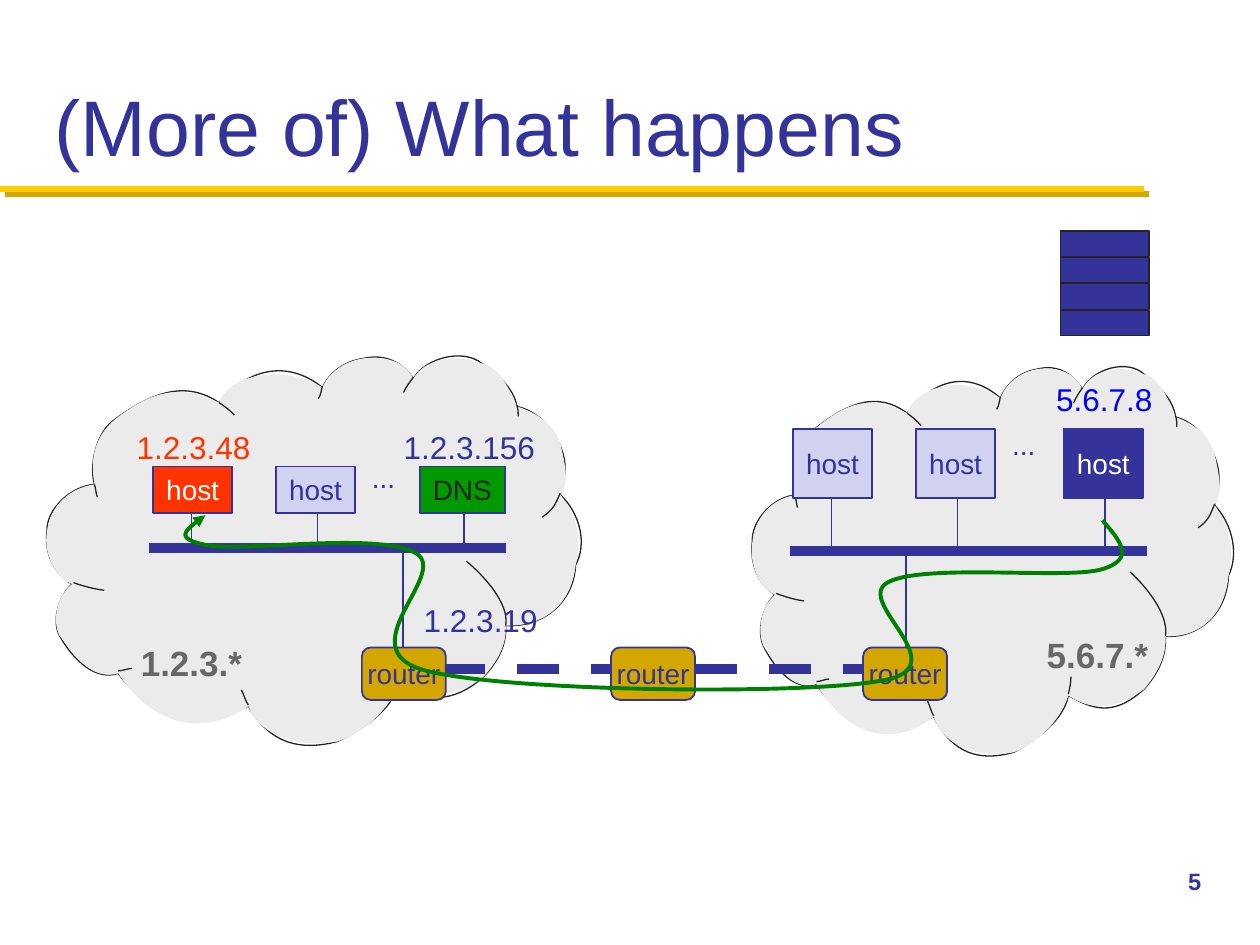
from lxml import etree
from pptx import Presentation
from pptx.dml.color import RGBColor
from pptx.enum.dml import MSO_LINE
from pptx.enum.shapes import MSO_CONNECTOR, MSO_SHAPE
from pptx.enum.text import MSO_ANCHOR, PP_ALIGN
from pptx.oxml.ns import qn
from pptx.util import Pt

RECTANGLE, ROUNDED = MSO_SHAPE.RECTANGLE, MSO_SHAPE.ROUNDED_RECTANGLE
STRAIGHT, DASH = MSO_CONNECTOR.STRAIGHT, MSO_LINE.DASH
TOP, MIDDLE, BOTTOM = MSO_ANCHOR.TOP, MSO_ANCHOR.MIDDLE, MSO_ANCHOR.BOTTOM
LEFT, CENTER = PP_ALIGN.LEFT, PP_ALIGN.CENTER

NAVY, LAVENDER, WHITE, INK = "333399", "D1D1F0", "FFFFFF", "232323"
GOLD, YELLOW, RED, GREEN = "D3A600", "FFCB05", "FF3300", "009900"
GRAY, CLOUD, BLUE, ROUTE = "676767", "EBEBEB", "0000FF", "008000"


def paint(shape, fill=None, line=None, width=1):
    shape.shadow.inherit = False
    if fill:
        shape.fill.solid()
        shape.fill.fore_color.rgb = RGBColor.from_string(fill)
    else:
        shape.fill.background()
    if line:
        shape.line.color.rgb = RGBColor.from_string(line)
        shape.line.width = Pt(width)
    else:
        shape.line.fill.background()


def write(shape, text, size=16, color=NAVY, bold=False, align=CENTER, anchor=MIDDLE, wrap=False):
    frame = shape.text_frame
    frame.word_wrap = wrap
    frame.vertical_anchor = anchor
    paragraph = frame.paragraphs[0]
    paragraph.alignment = align
    run = paragraph.add_run()
    run.text = text
    run.font.name = "Arial"
    run.font.size = Pt(size)
    run.font.bold = bold
    run.font.color.rgb = RGBColor.from_string(color)


presentation = Presentation()
presentation.slide_width, presentation.slide_height = Pt(720), Pt(540)
slide = presentation.slides.add_slide(presentation.slide_layouts[5])
shapes = slide.shapes

title = shapes.title
title.left, title.top, title.width, title.height = Pt(24), Pt(12), Pt(672), Pt(90)
write(title, "(More of) What happens", size=45, align=LEFT, anchor=BOTTOM, wrap=True)

# Bezier contours: start point, then two control points and an end point per segment
outline = [[
    631, 393, 627, 378, 632, 351, 646, 341, 672, 320, 696, 310, 720, 328,
    740, 302, 768, 293, 794, 316, 799, 304, 810, 295, 823, 293,
    839, 289, 851, 296, 859, 309, 868, 292, 895, 285, 908, 297,
    918, 305, 931, 316, 933, 331, 949, 335, 960, 350, 965, 365,
    969, 377, 968, 387, 964, 401, 979, 417, 983, 441, 975, 457,
    974, 487, 951, 507, 925, 505, 926, 522, 918, 536, 908, 547,
    887, 566, 871, 566, 848, 552, 844, 572, 823, 587, 805, 597,
    777, 605, 756, 598, 741, 569, 705, 587, 669, 576, 648, 543,
    632, 549, 616, 533, 606, 513, 600, 500, 606, 481, 615, 472,
    602, 464, 595, 447, 597, 431, 596, 412, 615, 394, 631, 393]]
body = [[
    631, 393, 628, 374, 630, 356, 646, 341, 672, 319, 691, 313, 720, 328,
    729, 303, 770, 299, 794, 316, 799, 303, 811, 295, 823, 293,
    837, 291, 852, 294, 859, 309, 867, 293, 890, 289, 908, 297,
    921, 300, 928, 319, 933, 331, 952, 338, 962, 349, 965, 365,
    967, 376, 971, 392, 964, 401, 978, 421, 979, 440, 975, 457,
    972, 488, 953, 506, 925, 505, 926, 520, 919, 534, 908, 547,
    885, 564, 865, 564, 848, 552, 840, 574, 824, 589, 805, 597,
    781, 602, 750, 595, 741, 569, 706, 596, 670, 581, 648, 543,
    629, 549, 617, 529, 606, 513, 601, 502, 603, 483, 615, 472,
    604, 468, 594, 448, 597, 431, 599, 411, 612, 396, 631, 393]]
creases = [
    [638, 477, 631, 476, 624, 474, 616, 471], [658, 539, 655, 539, 651, 541, 648, 541],
    [741, 568, 739, 565, 738, 560, 736, 556], [850, 537, 850, 542, 849, 546, 848, 551],
    [897, 454, 908, 464, 928, 487, 925, 505], [964, 400, 960, 410, 959, 413, 951, 419],
    [933, 330, 934, 333, 934, 336, 934, 339], [852, 320, 854, 315, 857, 311, 859, 308],
    [791, 325, 793, 322, 793, 319, 794, 315], [720, 328, 724, 331, 728, 334, 731, 338],
    [633, 403, 632, 400, 632, 396, 631, 393]]
route = [[
    875, 413, 889, 429, 902, 444, 874, 452, 845, 460, 734, 447, 705, 462,
    676, 477, 762, 529, 701, 540, 639, 552, 399, 549, 337, 532,
    275, 515, 358, 455, 330, 439, 301, 422, 194, 438, 166, 433,
    138, 428, 150, 418, 163, 409]]

cloud_curves = [(outline, True, None, INK, 0.75), (body, True, CLOUD, None, 0),
                (creases, False, None, INK, 0.75)]
placements = [(curve, 1, 0, 0) for curve in cloud_curves]
placements += [(curve, 1.11, -450.3, -6.1) for curve in cloud_curves]
placements.append(((route, False, None, ROUTE, 2.25), 1, 0, 0))
for (contours, closed, fill, line, width), stretch, shift_x, shift_y in placements:
    builder = None
    for contour in contours:
        points = [(Pt(0.72 * x * stretch + shift_x), Pt(0.72 * y + shift_y))
                  for x, y in zip(contour[::2], contour[1::2])]
        if builder is None:
            builder = shapes.build_freeform(*points[0], scale=1.0)
        else:
            builder.move_to(*points[0])
        builder.add_line_segments(points[1:], close=closed)
    freeform = builder.convert_to_shape()
    segments = list(freeform._element.iter(qn("a:lnTo")))
    for start in range(0, len(segments), 3):
        bezier = etree.Element(qn("a:cubicBezTo"))
        segments[start].addprevious(bezier)
        for segment in segments[start:start + 3]:
            bezier.append(segment[0])
            segment.getparent().remove(segment)
    paint(freeform, fill, line, width)
route_shape = freeform
etree.SubElement(route_shape.line._get_or_add_ln(), qn("a:tailEnd"), type="triangle")

wires = [(0, 108, 653.8, 108, YELLOW, 3.5, None),
         (451.4, 314.8, 655.2, 314.8, NAVY, 6, None),
         (85, 313.2, 289.4, 313.2, NAVY, 6, None),
         (230.4, 310.3, 230.4, 370, NAVY, 1, None),
         (517.9, 314, 517.9, 370, NAVY, 1, None),
         (253.4, 382.2, 349.2, 382.2, NAVY, 6, DASH),
         (397.4, 382.2, 493.2, 382.2, NAVY, 6, DASH)]
wires += [(x, 279.4, x, 314.6, NAVY, 1, None) for x in (475.2, 547.2, 631.4)]
wires += [(x, 289.4, x, 313.2, NAVY, 1, None) for x in (109.4, 181.4, 265)]
for x1, y1, x2, y2, color, width, dash in wires:
    wire = shapes.add_connector(STRAIGHT, Pt(x1), Pt(y1), Pt(x2), Pt(y2))
    wire.line.color.rgb = RGBColor.from_string(color)
    wire.line.width = Pt(width)
    if dash:
        wire.line.dash_style = dash
    effects = etree.SubElement(wire._element.spPr, qn("a:effectLst"))
    if color == YELLOW:
        shadow = etree.SubElement(effects, qn("a:outerShdw"), dist=str(Pt(4.2)), dir="2700000")
        etree.SubElement(shadow, qn("a:srgbClr"), val=GOLD)

boxes = [("host", 453, 245, 45.4, 39.6, LAVENDER, NAVY, RECTANGLE),
         ("host", 523.4, 245, 45.4, 39.6, LAVENDER, NAVY, RECTANGLE),
         ("host", 607.8, 245, 45.4, 39.6, NAVY, WHITE, RECTANGLE),
         ("host", 87.4, 266.6, 45.4, 26.6, RED, WHITE, RECTANGLE),
         ("host", 157.6, 266.6, 45.4, 26.6, LAVENDER, NAVY, RECTANGLE),
         ("DNS", 240, 266.6, 48.4, 26.6, GREEN, INK, RECTANGLE)]
boxes += [("router", x, 370, 48, 30, GOLD, NAVY, ROUNDED) for x in (206.8, 349.2, 493.2)]
for text, x, y, width, height, fill, color, kind in boxes:
    box = shapes.add_shape(kind, Pt(x), Pt(y), Pt(width), Pt(height))
    paint(box, fill, NAVY)
    write(box, text, color=color)

for row in range(4):
    layer = shapes.add_shape(RECTANGLE, Pt(606.2), Pt(132 + 15.1 * row), Pt(50.4), Pt(14.6))
    paint(layer, NAVY, INK, 0.75)

for text, x, y, width, height, style in (
        ("5.6.7.*", 589.7, 358.6, 74.9, 46.8, dict(size=20, color=GRAY, bold=True, anchor=TOP)),
        ("1.2.3.*", 72, 362.9, 74.9, 46.8, dict(size=20, color=GRAY, bold=True, anchor=TOP)),
        ("...", 571, 234, 28, 39.6, {}),
        ("...", 205.2, 259.2, 28, 26.6, {}),
        ("5.6.7.8", 596.2, 213.8, 69.8, 28.8, dict(size=18, color=BLUE, anchor=TOP)),
        ("1.2.3.156", 223.2, 241.2, 90, 28.8, dict(size=18, anchor=TOP)),
        ("1.2.3.48", 70.6, 241.2, 79.9, 28.8, dict(size=18, color=RED, anchor=TOP)),
        ("1.2.3.19", 234.7, 339.8, 79.9, 28.8, dict(size=18, anchor=TOP)),
        ("5", 671.8, 491.8, 48, 36, dict(size=13.5, bold=True, align=LEFT, anchor=TOP, wrap=True))):
    label = shapes.add_textbox(Pt(x), Pt(y), Pt(width), Pt(height))
    write(label, text, **style)

shapes._spTree.append(route_shape._element)

presentation.save("out.pptx")
